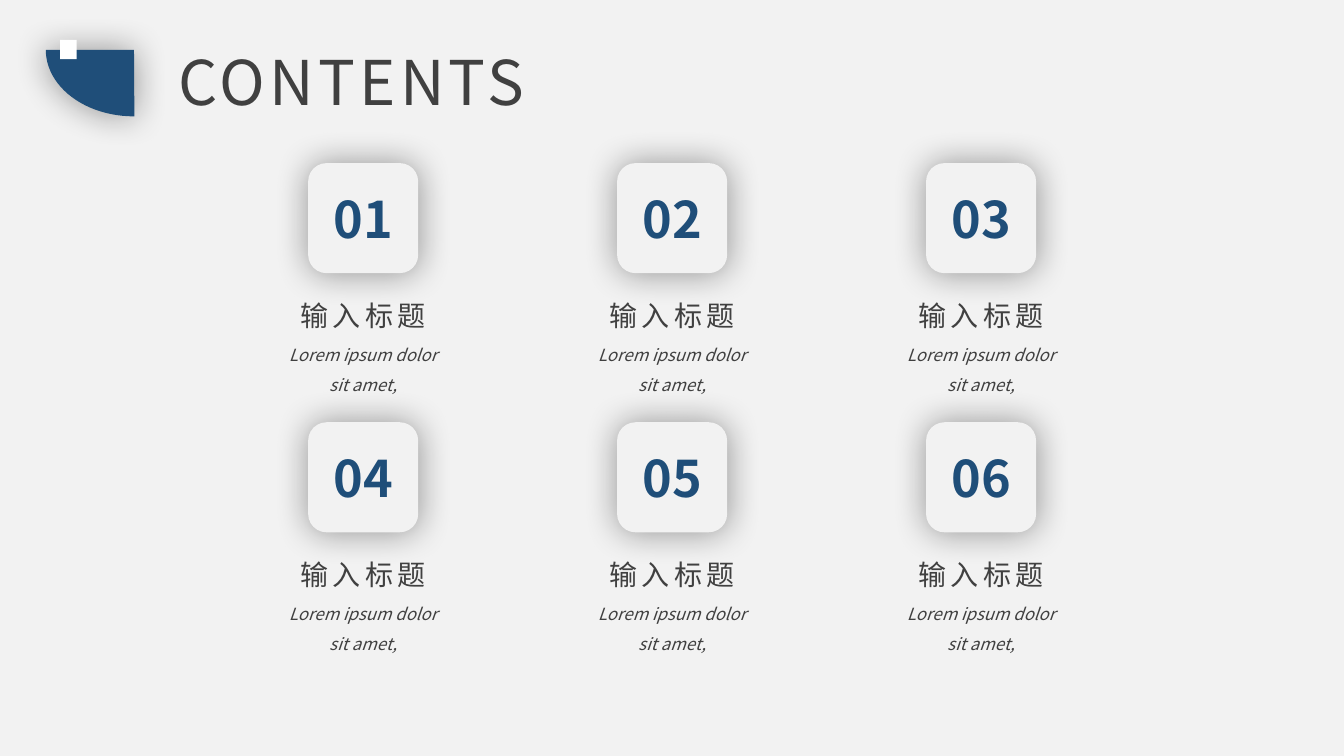
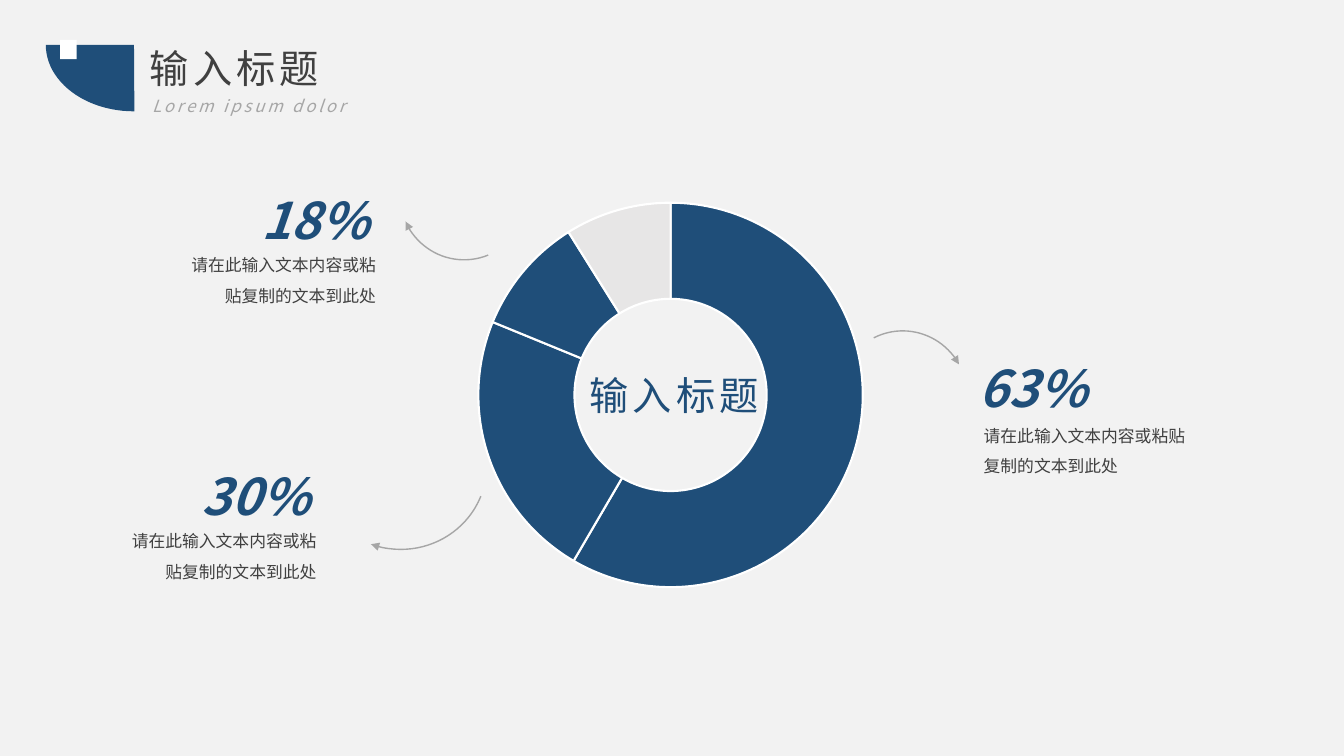
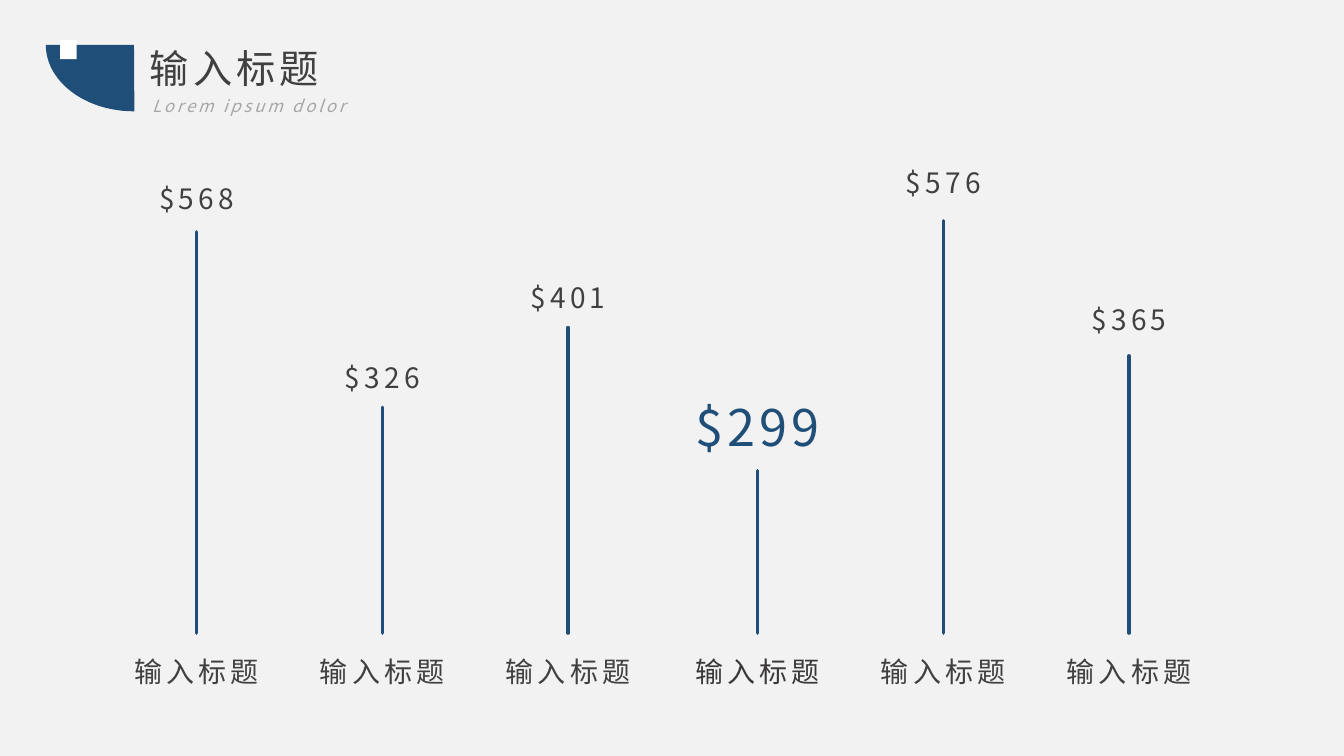
"""Builds three slides: contents, doughnut chart and price lines."""
from lxml.etree import SubElement
from pptx import Presentation
from pptx.chart.data import CategoryChartData
from pptx.dml.color import RGBColor
from pptx.enum.chart import XL_CHART_TYPE
from pptx.enum.shapes import MSO_CONNECTOR, MSO_SHAPE
from pptx.enum.text import MSO_ANCHOR, MSO_AUTO_SIZE, PP_ALIGN
from pptx.oxml import parse_xml
from pptx.oxml.ns import nsdecls, qn
from pptx.util import Pt

FONT = "Noto Sans CJK SC"
HUES = {"page": "F2F2F2", "blue": "1F4E79", "text": "404040", "dark": "3B3838",
        "gray": "A6A6A6", "pale": "E7E6E6", "white": "FFFFFF", "black": "000000"}
LEFT, MID, RIGHT = PP_ALIGN.LEFT, PP_ALIGN.CENTER, PP_ALIGN.RIGHT
TITLE = "输入标题"
BODY = "请在此输入文本内容或粘贴复制的文本到此处"


def rgb(hue):
    return RGBColor.from_string(HUES[hue])


def write(frame, text, size, hue="text", align=LEFT, gap=0, lead=None, bold=False, slant=False):
    frame.text = text
    para = frame.paragraphs[0]
    para.alignment = align
    if lead:
        para.line_spacing = lead
    run = para.runs[0]
    font = run.font
    font.size, font.bold, font.italic = Pt(size), bold, slant
    font.color.rgb = rgb(hue)
    font.name = FONT
    props = font._element
    SubElement(props, qn("a:ea")).set("typeface", FONT)
    if gap:
        props.set("spc", str(gap * 100))


def label(shapes, text, x, y, w, h, size, wrap=True, **style):
    box = shapes.add_textbox(Pt(x), Pt(y), Pt(w), Pt(h))
    frame = box.text_frame
    frame.word_wrap = wrap
    frame.auto_size = MSO_AUTO_SIZE.SHAPE_TO_FIT_TEXT
    write(frame, text, size, **style)
    return box


def solid(shapes, kind, x, y, w, h, hue, glow=False):
    shape = shapes.add_shape(kind, Pt(x), Pt(y), Pt(w), Pt(h))
    shape.fill.solid()
    shape.fill.fore_color.rgb = rgb(hue)
    shape.line.fill.background()
    shape.shadow.inherit = False
    if glow:
        shape._element.spPr.find(qn("a:effectLst")).append(parse_xml(
            f'<a:outerShdw {nsdecls("a")} blurRad="{Pt(25)}" dist="0" dir="0" algn="ctr" '
            f'rotWithShape="0"><a:srgbClr val="{HUES["black"]}"><a:alpha val="40000"/>'
            '</a:srgbClr></a:outerShdw>'))
    return shape


def badge(shapes, y, glow=False):
    fan = solid(shapes, MSO_SHAPE.PIE, 48.2, y, 95, 126, "blue", glow)
    fan.adjustments[0], fan.adjustments[1] = 107.8, 162
    fan.rotation = 270
    solid(shapes, MSO_SHAPE.RECTANGLE, 43, 28.4, 11.8, 13.8, "white")


def header(slide):
    shapes = slide.shapes.add_group_shape().shapes
    badge(shapes, -31)
    label(shapes, TITLE, 100, 28.4, 153.4, 41.2, 28, gap=3)
    label(shapes, "Lorem ipsum dolor", 101.5, 57.6, 178.6, 26.6, 12,
          hue="gray", gap=2, lead=1.5, slant=True)


def card(slide, num, x, y):
    shapes = slide.shapes.add_group_shape().shapes
    tile = solid(shapes, MSO_SHAPE.ROUNDED_RECTANGLE, x - 39.3, y, 78.6, 78.6, "page", True)
    tile.text_frame.vertical_anchor = MSO_ANCHOR.MIDDLE
    write(tile.text_frame, f"{num:02}", 36, "blue", MID, bold=True)
    label(shapes, TITLE, x - 67, y + 92.9, 134, 31.5, 20, align=MID, gap=3)
    label(shapes, "Lorem ipsum dolor sit amet,", x - 61.2, y + 118.8, 122.4, 49, 12,
          align=MID, lead=1.5, slant=True)


def ring(slide):
    data = CategoryChartData()
    data.categories = ["1", "2", "3", "4"]
    data.add_series("Series 1", (59, 23, 10, 9))
    chart = slide.shapes.add_chart(XL_CHART_TYPE.DOUGHNUT, Pt(243.4), Pt(123.8),
                                   Pt(561.6), Pt(339.1), data).chart
    chart.has_legend = chart.has_title = False
    chart.font.name, chart.font.size = FONT, Pt(10)
    chart.font.color.rgb = rgb("black")
    plot = chart.plots[0]
    plot.vary_by_categories = True
    for i, hue in enumerate(("blue", "blue", "blue", "pale")):
        part = plot.series[0].points[i].format
        part.fill.solid()
        part.fill.fore_color.rgb = rgb(hue)
        part.line.color.rgb = rgb("white")
        part.line.width = Pt(1.5)
    plot._element.find(qn("c:holeSize")).set("val", "75")
    area = chart._chartSpace.chart.plotArea
    for old in area.findall(qn("c:layout")):
        area.remove(old)
    spots = {"layoutTarget": "inner", "xMode": "edge", "yMode": "edge",
             "x": 0.175, "y": 0.062, "w": 0.489, "h": 0.81}
    rows = "".join(f'<c:{tag} val="{val}"/>' for tag, val in spots.items())
    area.insert(0, parse_xml(f'<c:layout {nsdecls("c")}><c:manualLayout>{rows}'
                             '</c:manualLayout></c:layout>'))


def swoop(slide, x, y, w, h, turn):
    arc = slide.shapes.add_shape(MSO_SHAPE.ARC, Pt(x), Pt(y), Pt(w), Pt(h))
    arc.adjustments[0], arc.adjustments[1] = 170.14, 7.46
    arc.rotation = turn
    arc.fill.background()
    arc.line.color.rgb = rgb("gray")
    arc.line.width = Pt(1)
    arc.shadow.inherit = False
    SubElement(arc.line._get_or_add_ln(), qn("a:tailEnd")).set("type", "triangle")


def note(slide, rate, x, y, align, dx, dy, w):
    label(slide.shapes, BODY, x + dx, y + dy, w, 48.2, 12, align=align, lead=1.5)
    label(slide.shapes, rate, x, y, 166.3, 51, 36, hue="blue", align=align,
          bold=True, slant=True)


def stem(slide, x, top, price, y, main):
    shapes = slide.shapes.add_group_shape().shapes
    line = shapes.add_connector(MSO_CONNECTOR.STRAIGHT, Pt(x), Pt(top), Pt(x), Pt(452.2))
    line.line.color.rgb = rgb("blue")
    line.line.width = Pt(2.5)
    line.line._get_or_add_ln().set("cap", "rnd")
    SubElement(line._element.spPr, qn("a:effectLst"))
    w, h, size, hue = (162.8, 51, 36, "blue") if main else (102.2, 31.5, 20, "text")
    label(shapes, f"${price}", x - w / 2, y, w, h, size, hue=hue, align=MID, gap=3)
    label(shapes, TITLE, x - 64.8, 463.7, 129.6, 31.5, 20,
          hue="dark" if main else "text", align=MID, gap=3)


def main():
    deck = Presentation()
    deck.slide_width, deck.slide_height = Pt(960), Pt(540)
    back = deck.slide_master.background.fill
    back.solid()
    back.fore_color.rgb = rgb("page")
    first, second, third = (deck.slides.add_slide(deck.slide_layouts[6]) for _ in range(3))

    badge(first.shapes, -27.4, True)
    label(first.shapes, "CONTENTS", 95.8, 28.1, 310.3, 60.6, 44, align=MID, gap=3)
    for i in range(6):
        row, col = divmod(i, 3)
        card(first, i + 1, 259.4 + col * 220.7, 116.5 + row * 185.1)

    ring(second)
    swoop(second, 599.8, 236.2, 90.7, 91.4, 319.1)
    swoop(second, 225.4, 270, 121, 123.8, 97.8)
    swoop(second, 285.8, 94.3, 90.7, 91.4, 143.9)
    hub = label(second.shapes, TITLE, 414, 261.4, 139.7, 41.2, 28, wrap=False, hue="blue", gap=3)
    hub.text_frame.vertical_anchor = MSO_ANCHOR.MIDDLE
    note(second, "63%", 692, 251.3, LEFT, 3.6, 41.8, 163.4)
    for rate, x, y in (("30%", 61.9, 329), ("18%", 104.4, 131.8)):
        note(second, rate, x, y, RIGHT, 15.8, 39.6, 155.5)
    header(second)

    stems = ((568, 165.6, 126), (326, 290.9, 254.2), (401, 234, 196.6),
             (299, 336.2, 279.4), (576, 157.7, 114.5), (365, 254.2, 212.4))
    for i, (price, top, y) in enumerate(stems):
        shift = 2.6 if i > 2 else 0
        stem(third, 140.4 + i * 132.7 + shift, top, price, y, price == 299)
    header(third)
    deck.save("out.pptx")


if __name__ == "__main__":
    main()
